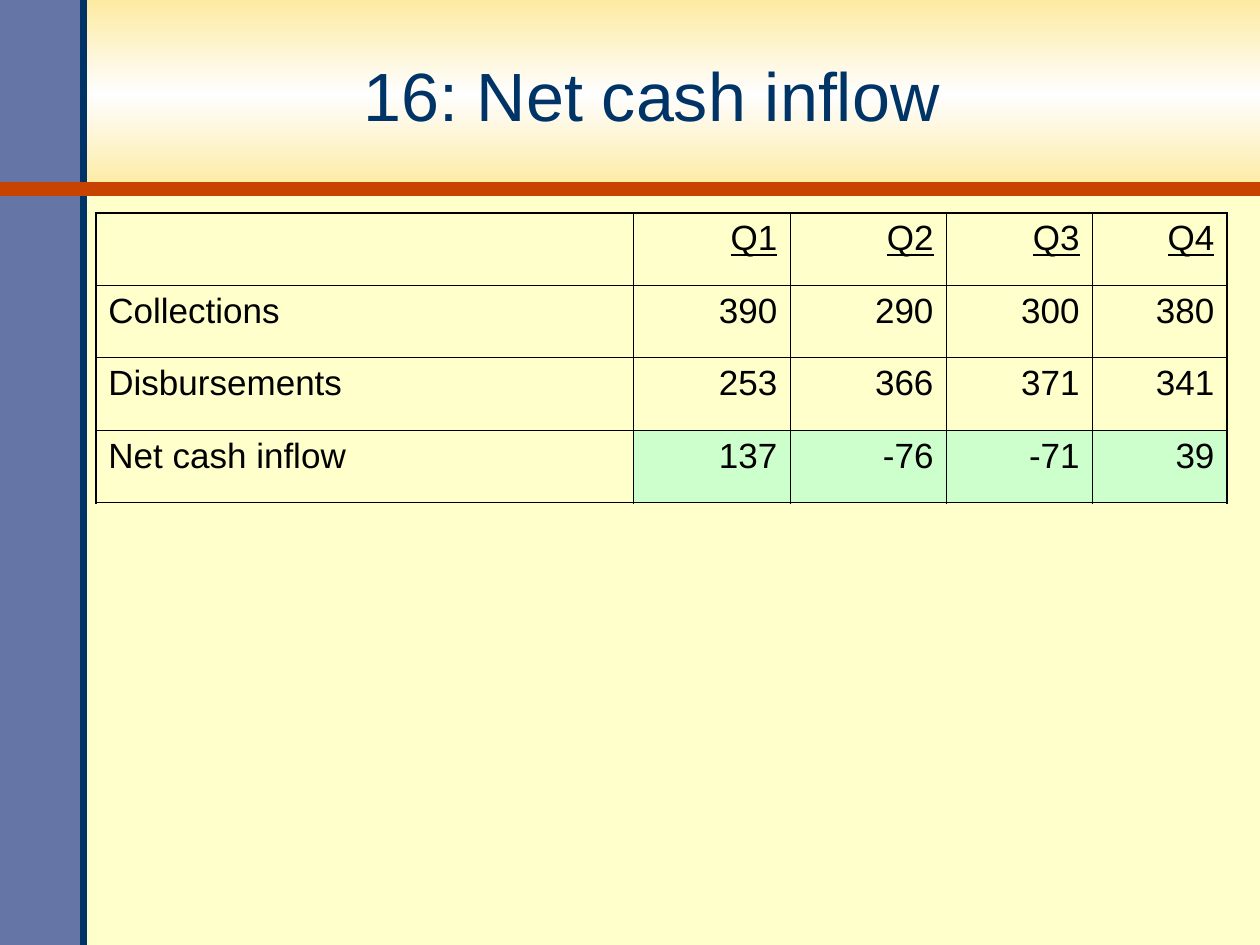
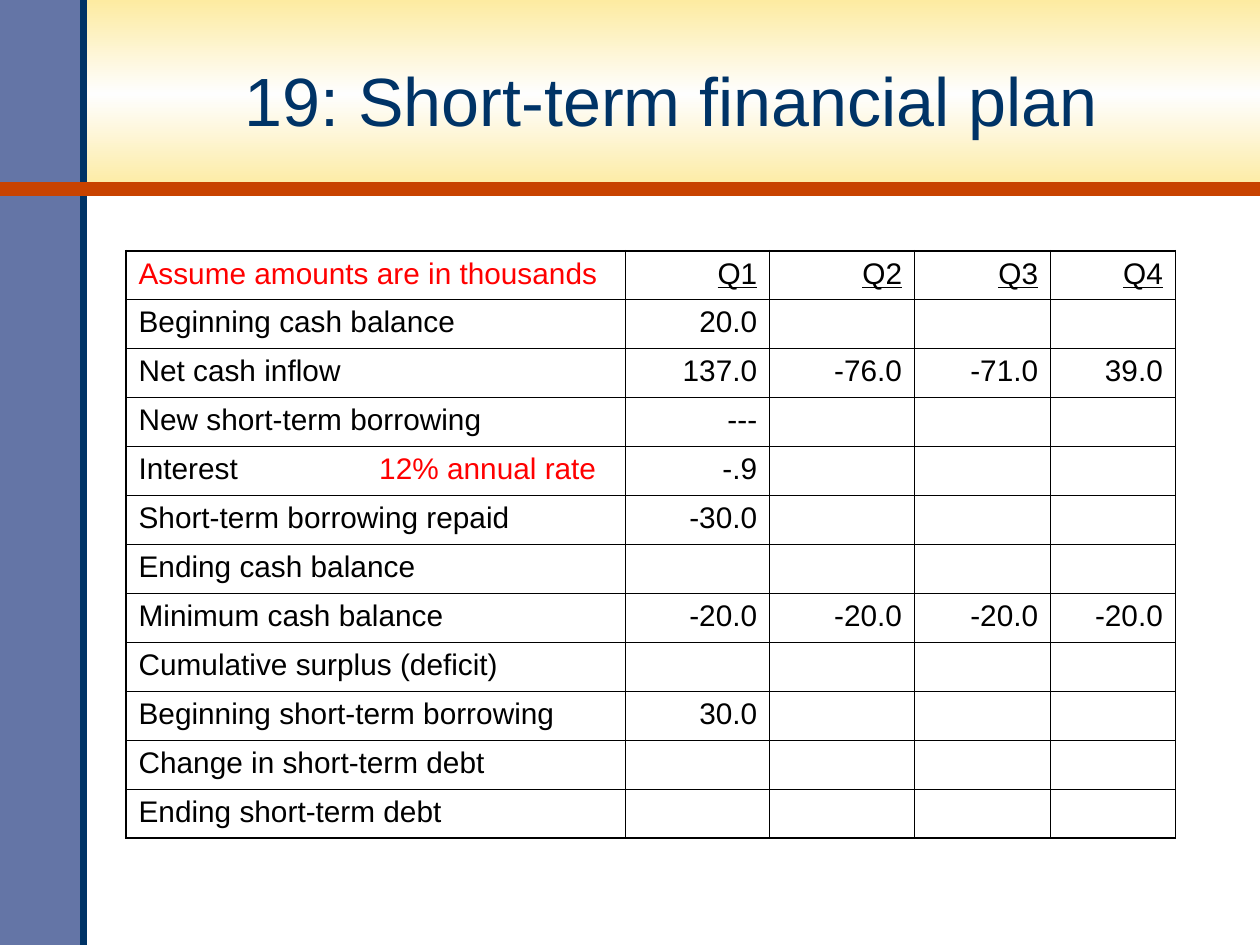
from copy import deepcopy

from lxml import etree
from pptx import Presentation
from pptx import util as u
from pptx.dml.color import RGBColor
from pptx.enum import shapes, text
from pptx.oxml.ns import qn

COLORS = {
    "navy": "003366", "slate": "6475A6", "rust": "C84300", "gold": "FDEBA1",
    "pale": "FEFEFE", "cream": "FFFFCC", "white": "FFFFFF", "mint": "CCFFCC",
    "black": "000000", "red": "FF0000",
}
COLORS = {name: RGBColor.from_string(code) for name, code in COLORS.items()}
FONT = "Arial"
QUARTERS = ["Q1", "Q2", "Q3", "Q4"]
RED_NOTES = ["Assume amounts are in thousands", "12% annual rate"]
NOTE_TAB = u.Inches(1.91)

PLANS = [
    {
        "title": "16: Net cash inflow",
        "title_at": (0.65, 0.15, 9.04, 1.2),
        "background": "cream",
        "table_at": (0.76, 1.69),
        "columns": (4.27, 1.24, 1.24, 1.16, 1.07),
        "height": 2.3,
        "size": 20,
        "total_fill": "mint",
        "rows": [
            ["", *QUARTERS],
            ["Collections", "390", "290", "300", "380"],
            ["Disbursements", "253", "366", "371", "341"],
            ["Net cash inflow", "137", "-76", "-71", "39"],
        ],
    },
    {
        "title": "19: Short-term financial plan",
        "title_at": (1.06, 0.22, 8.54, 1.13),
        "background": "white",
        "table_at": (1, 1.99),
        "columns": (3.96, 1.15, 1.15, 1.08, 0.99),
        "height": 4.64,
        "size": 17,
        "total_fill": None,
        "rows": [
            ["Assume amounts are in thousands", *QUARTERS],
            ["Beginning cash balance", "20.0"],
            ["Net cash inflow", "137.0", "-76.0", "-71.0", "39.0"],
            ["New short-term borrowing", "---"],
            ["Interest\t12% annual rate", "-.9"],
            ["Short-term borrowing repaid", "-30.0"],
            ["Ending cash balance"],
            ["Minimum cash balance"] + ["-20.0"] * 4,
            ["Cumulative surplus (deficit)"],
            ["Beginning short-term borrowing", "30.0"],
            ["Change in short-term debt"],
            ["Ending short-term debt"],
        ],
    },
]


def set_borders(cell, outer_sides):
    props = cell._tc.get_or_add_tcPr()
    for index, side in enumerate(("lnL", "lnR", "lnT", "lnB")):
        width = u.Pt(1.08 if side in outer_sides else 0.45)
        line = etree.Element(qn(f"a:{side}"), w=str(width))
        fill = etree.SubElement(line, qn("a:solidFill"))
        etree.SubElement(fill, qn("a:srgbClr"), val=str(COLORS["black"]))
        props.insert(index, line)


def style_span(span, size, color):
    span.font.name = FONT
    span.font.size = u.Pt(size)
    span.font.color.rgb = COLORS[color]


deck = Presentation()
deck.slide_width, deck.slide_height = u.Inches(10), u.Inches(7.5)
width, height = deck.slide_width, deck.slide_height
header_bottom, sidebar_right = height // 5, width // 15
layout = deck.slide_layouts[5]
pages = [deck.slides.add_slide(layout) for plan in PLANS]

drawing = pages[0].shapes
header = drawing.add_shape(shapes.MSO_SHAPE.RECTANGLE, 0, 0, width, header_bottom)
header.fill.gradient()
header.fill.gradient_angle = 270
stop_list = header.element.spPr.find(qn("a:gradFill")).find(qn("a:gsLst"))
stop_list.append(deepcopy(stop_list[0]))
for stop, color, position in zip(header.fill.gradient_stops, ("gold", "pale", "gold"), (0, 0.5, 1)):
    stop.color.rgb = COLORS[color]
    stop.position = position
sidebar = drawing.add_shape(shapes.MSO_SHAPE.RECTANGLE, 0, 0, sidebar_right, height)
sidebar.fill.solid()
sidebar.fill.fore_color.rgb = COLORS["slate"]
for band in (header, sidebar):
    band.line.fill.background()
    band.shadow.inherit = False
decor = [header, sidebar]
for ends, color, weight in [
    ((sidebar_right, height, sidebar_right, 0), "navy", 4),
    ((0, header_bottom, width, header_bottom), "rust", 8),
]:
    rule = drawing.add_connector(shapes.MSO_CONNECTOR.STRAIGHT, *ends)
    rule.line.color.rgb = COLORS[color]
    rule.line.width = u.Pt(weight)
    etree.SubElement(rule.element.spPr, qn("a:effectLst"))
    decor.append(rule)
for index, shape in enumerate(decor, start=2):
    layout.element.cSld.spTree.insert(index, shape.element)

for page, plan in zip(pages, PLANS):
    page.background.fill.solid()
    page.background.fill.fore_color.rgb = COLORS[plan["background"]]

    title = page.shapes.title
    title.left, title.top, title.width, title.height = map(u.Inches, plan["title_at"])
    frame = title.text_frame
    frame.text = plan["title"]
    frame.auto_size = text.MSO_AUTO_SIZE.NONE
    frame.vertical_anchor = text.MSO_ANCHOR.MIDDLE
    frame.paragraphs[0].alignment = text.PP_ALIGN.CENTER
    style_span(frame.paragraphs[0].runs[0], 39, "navy")

    rows, columns = plan["rows"], plan["columns"]
    left, top = map(u.Inches, plan["table_at"])
    table = page.shapes.add_table(
        len(rows), len(columns), left, top, u.Inches(sum(columns)), u.Inches(plan["height"])
    ).table
    table.first_row = table.horz_banding = False
    for column, column_width in zip(table.columns, columns):
        column.width = u.Inches(column_width)

    last_row, last_column = len(rows) - 1, len(columns) - 1
    for r, values in enumerate(rows):
        for c in range(len(columns)):
            cell = table.cell(r, c)
            label, tab, note = (values[c] if c < len(values) else "").partition("\t")
            para = cell.text_frame.paragraphs[0]
            para.alignment = text.PP_ALIGN.RIGHT if c else text.PP_ALIGN.LEFT
            if tab:
                tabs = etree.SubElement(para._p.get_or_add_pPr(), qn("a:tabLst"))
                etree.SubElement(tabs, qn("a:tab"), pos=str(NOTE_TAB), algn="l")
            para.text = label + tab
            if note:
                para.add_run().text = note
            for span in para.runs:
                style_span(span, plan["size"], "red" if span.text in RED_NOTES else "black")
                span.font.underline = r == 0 and c > 0
            if not para.runs:
                etree.SubElement(para._p, qn("a:endParaRPr"), sz=str(plan["size"] * 100))

            if plan["total_fill"] and r == last_row and c:
                cell.fill.solid()
                cell.fill.fore_color.rgb = COLORS[plan["total_fill"]]
            else:
                cell.fill.background()
            edges = {"lnL": c == 0, "lnR": c == last_column, "lnT": r == 0, "lnB": r == last_row}
            set_borders(cell, [side for side, outer in edges.items() if outer])

deck.save("out.pptx")
